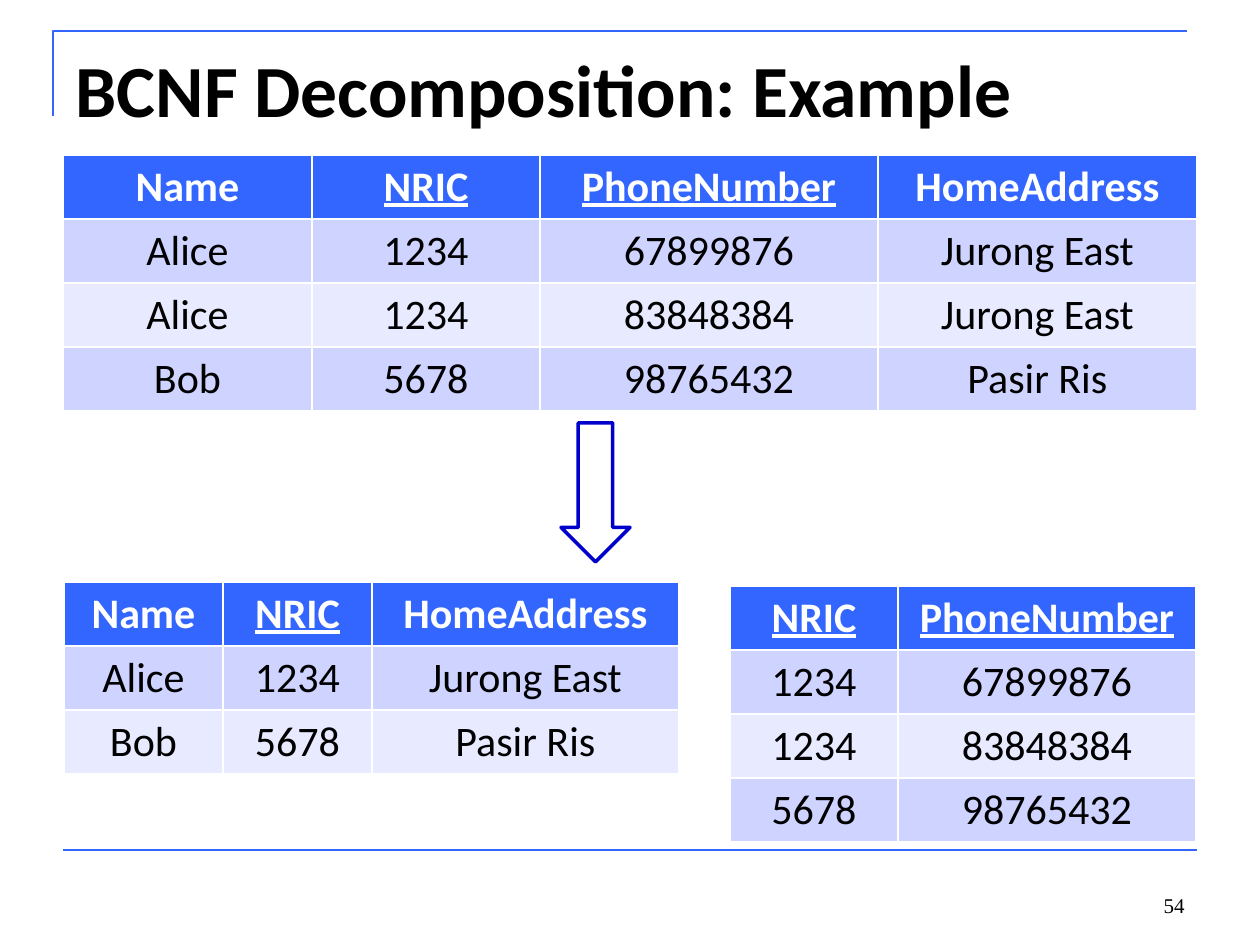
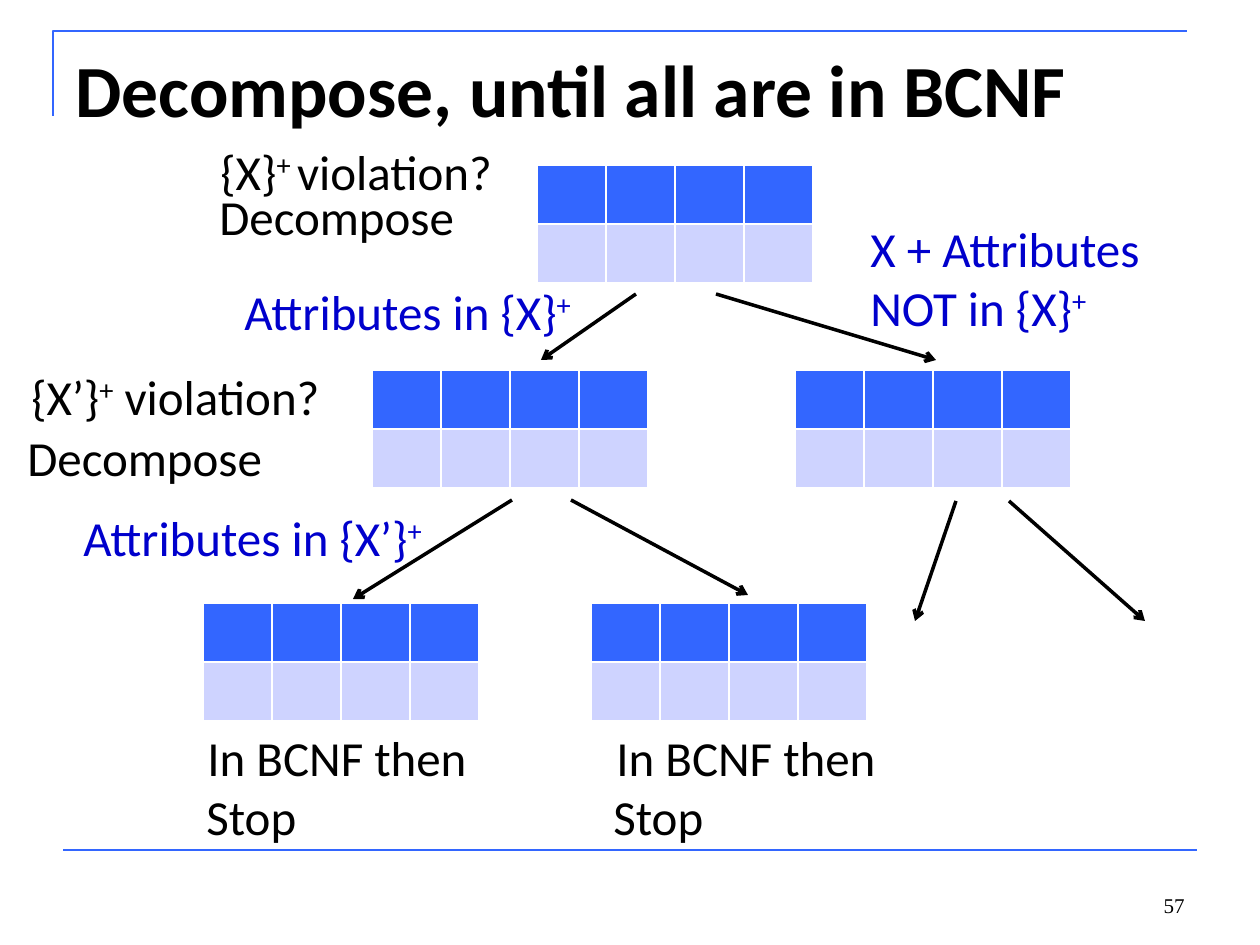
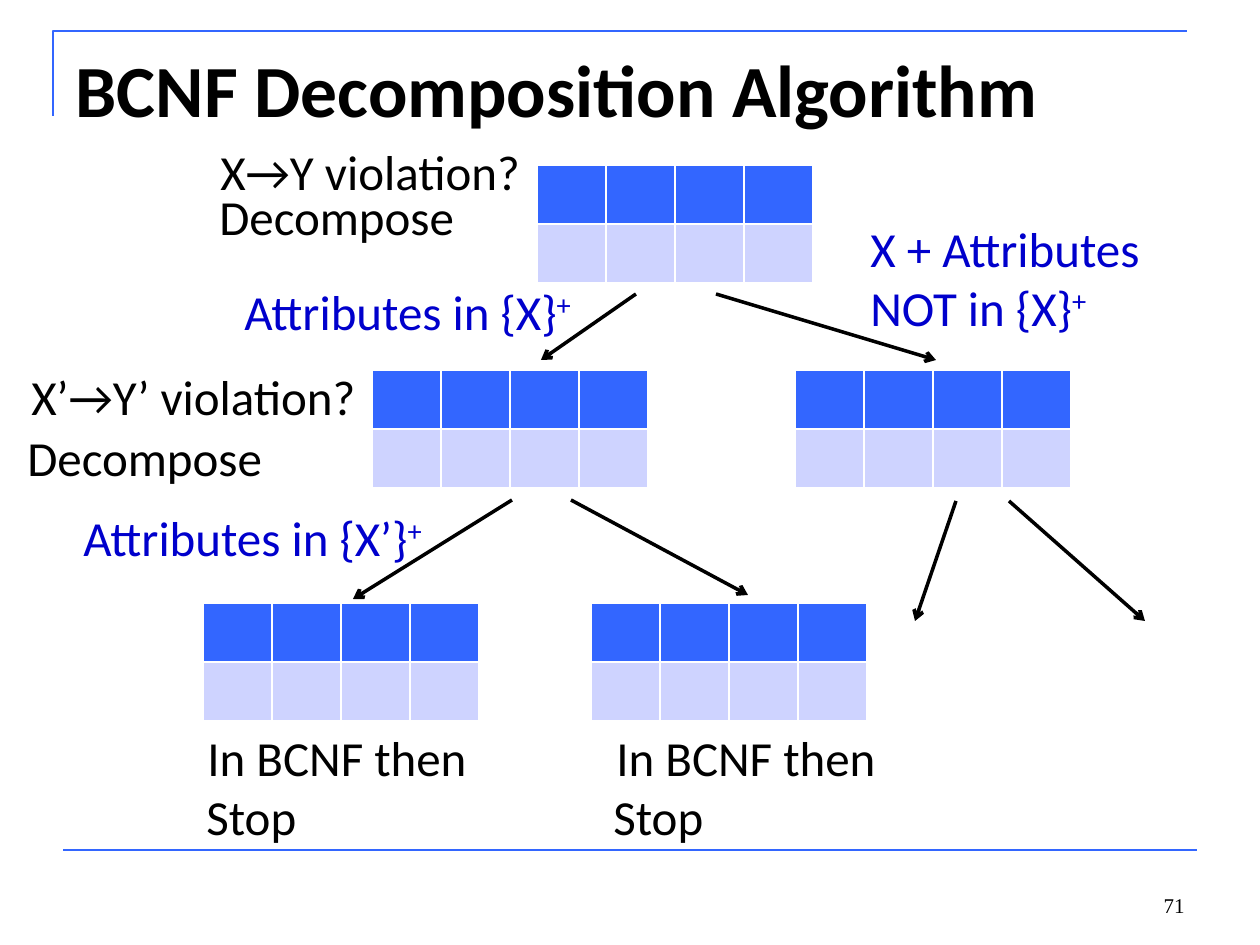
"""Build three slides on BCNF decomposition."""
import dataclasses

import lxml.etree
import pptx
import pptx.dml.color
import pptx.enum.shapes
import pptx.enum.text
import pptx.oxml.ns
import pptx.util

PX = 914400 / 126
RGB = pptx.dml.color.RGBColor.from_string
ALIGN = pptx.enum.text.PP_ALIGN
ANCHOR = pptx.enum.text.MSO_ANCHOR
AUTO_SIZE = pptx.enum.text.MSO_AUTO_SIZE


@dataclasses.dataclass(frozen=True)
class Theme:
    blue: object = RGB("3366FF")
    dark_blue: object = RGB("0000CC")
    black: object = RGB("000000")
    white: object = RGB("FFFFFF")
    bands: tuple = (RGB("CED3FF"), RGB("E8EAFF"))
    font: str = "Calibri"
    number_font: str = "Times New Roman"
    title_size: int = 42
    label_size: int = 28
    table_size: int = 24
    number_size: int = 12
    frame_width: float = 1.5
    arrow_width: int = 2


theme = Theme()


def px(*lengths):
    return [round(length * PX) for length in lengths]


def set_font(font, size, color, name=theme.font, bold=False):
    font.name = name
    font.size = pptx.util.Pt(size)
    font.bold = bold
    font.color.rgb = color


key_columns = {"NRIC", "PhoneNumber"}
people_tables = [
    (63, 155, (249, 228, 338, 319), 64, [
        ("Name", "NRIC", "PhoneNumber", "HomeAddress"),
        ("Alice", "1234", "67899876", "Jurong East"),
        ("Alice", "1234", "83848384", "Jurong East"),
        ("Bob", "5678", "98765432", "Pasir Ris"),
    ]),
    (64, 582, (159, 149, 307), 64, [
        ("Name", "NRIC", "HomeAddress"),
        ("Alice", "1234", "Jurong East"),
        ("Bob", "5678", "Pasir Ris"),
    ]),
    (730, 586, (168, 298), 64, [
        ("NRIC", "PhoneNumber"),
        ("1234", "67899876"),
        ("1234", "83848384"),
        ("5678", "98765432"),
    ]),
]

tree_tables = [
    (left, top, (69,) * 4, 59, [("",) * 4] * 2)
    for left, top in [(537, 165), (372, 370), (795, 370), (203, 603), (591, 603)]
]
tree_arrows = [
    (636, 294, 541, 360),
    (716, 294, 936, 360),
    (512, 500, 353, 599),
    (571, 500, 748, 595),
    (956, 501, 915, 621),
    (1009, 501, 1145, 621),
]
tree_labels = [
    (207, 180, 273, ["Decompose"], theme.black),
    (15, 421, 273, ["Decompose"], theme.black),
    (195, 721, 299, ["In BCNF then"], theme.black),
    (194, 780, 127, ["Stop"], theme.black),
    (604, 721, 287, ["In BCNF then"], theme.black),
    (601, 780, 127, ["Stop"], theme.black),
    (232, 275, 378, ["Attributes in {X}^+"], theme.dark_blue),
    (858, 212, 310, ["X + Attributes ", "NOT in {X}^+"], theme.dark_blue),
    (71, 501, 381, ["Attributes in {X’}^+"], theme.dark_blue),
]
closure_labels = [
    (208, 135, 318, ["{X}^+ ^violation?"], theme.black),
    (19, 360, 341, ["{X’}^+^ violation?"], theme.black),
]
dependency_labels = [
    (208, 135, 343, ["X→Y violation?"], theme.black),
    (19, 360, 365, ["X’→Y’ violation?"], theme.black),
]
contents = [
    ("BCNF Decomposition: Example", "54", people_tables, [], []),
    ("Decompose, until all are in BCNF", "57", tree_tables, tree_arrows,
     closure_labels + tree_labels),
    ("BCNF Decomposition Algorithm", "71", tree_tables, tree_arrows,
     dependency_labels + tree_labels),
]

deck = pptx.Presentation()
deck.slide_width, deck.slide_height = px(1260, 945)

for title_text, number, tables, arrows, labels in contents:
    page = deck.slides.add_slide(deck.slide_layouts[5])

    outline = page.shapes.build_freeform(53, 116, scale=PX)
    outline.add_line_segments([(53, 31), (1187, 31)], close=False)
    corner = outline.convert_to_shape()
    corner.shadow.inherit = False
    corner.fill.background()
    corner.line.color.rgb = theme.blue
    corner.line.width = pptx.util.Pt(theme.frame_width)

    title = page.shapes.title
    title.left, title.top, title.width, title.height = px(63, 38, 1134, 157)
    title.text_frame.text = title_text
    title.text_frame.auto_size = AUTO_SIZE.NONE
    title.text_frame.vertical_anchor = ANCHOR.TOP
    title_para = title.text_frame.paragraphs[0]
    title_para.alignment = ALIGN.LEFT
    set_font(title_para.font, theme.title_size, theme.black, bold=True)

    for left, top, widths, row_height, rows in tables:
        frame = page.shapes.add_table(
            len(rows), len(widths),
            *px(left, top, sum(widths), row_height * len(rows)))
        for column, width in zip(frame.table.columns, widths):
            column.width = px(width)[0]
        for row_index, row in enumerate(rows):
            header = row_index == 0
            for column_index, value in enumerate(row):
                cell = frame.table.cell(row_index, column_index)
                cell.fill.solid()
                cell.fill.fore_color.rgb = (
                    theme.blue if header else theme.bands[(row_index - 1) % 2])
                if value:
                    cell.text = value
                    para = cell.text_frame.paragraphs[0]
                    para.alignment = ALIGN.CENTER
                    set_font(para.font, theme.table_size,
                             theme.white if header else theme.black, bold=header)
                    para.font.underline = value in key_columns

    footer_rule = (63, 850, 1197, 850)
    for ends in [footer_rule, *arrows]:
        is_rule = ends == footer_rule
        line = page.shapes.add_connector(
            pptx.enum.shapes.MSO_CONNECTOR.STRAIGHT, *px(*ends))
        line.line.color.rgb = theme.blue if is_rule else theme.black
        line.line.width = pptx.util.Pt(
            theme.frame_width if is_rule else theme.arrow_width)
        if not is_rule:
            lxml.etree.SubElement(line.line._get_or_add_ln(),
                                  pptx.oxml.ns.qn("a:tailEnd"), type="arrow")
        lxml.etree.SubElement(line._element.spPr, pptx.oxml.ns.qn("a:effectLst"))

    for left, top, width, text_lines, color in labels:
        height = 72 + 59 * (len(text_lines) - 1)
        box = page.shapes.add_textbox(*px(left, top, width, height))
        box.text_frame.word_wrap = False
        box.text_frame.auto_size = AUTO_SIZE.SHAPE_TO_FIT_TEXT
        para = box.text_frame.paragraphs[0]
        set_font(para.font, theme.label_size, color)
        for line_index, text_line in enumerate(text_lines):
            if line_index:
                para.add_line_break()
            for part_index, part in enumerate(text_line.split("^")):
                span = para.add_run()
                span.text = part
                if part_index % 2:
                    span._r.get_or_add_rPr().set("baseline", "30000")

    number_box = page.shapes.add_textbox(*px(903, 861, 294, 63))
    number_box.text_frame.word_wrap = True
    number_box.text_frame.vertical_anchor = ANCHOR.BOTTOM
    number_box.text_frame.text = number
    number_para = number_box.text_frame.paragraphs[0]
    number_para.alignment = ALIGN.RIGHT
    set_font(number_para.font, theme.number_size, theme.black, theme.number_font)

down_arrow = deck.slides[0].shapes.add_shape(
    pptx.enum.shapes.MSO_SHAPE.DOWN_ARROW, *px(561, 423, 69, 139))
down_arrow.shadow.inherit = False
down_arrow.fill.background()
down_arrow.line.color.rgb = theme.dark_blue
down_arrow.line.width = pptx.util.Pt(theme.arrow_width)

deck.save("out.pptx")
